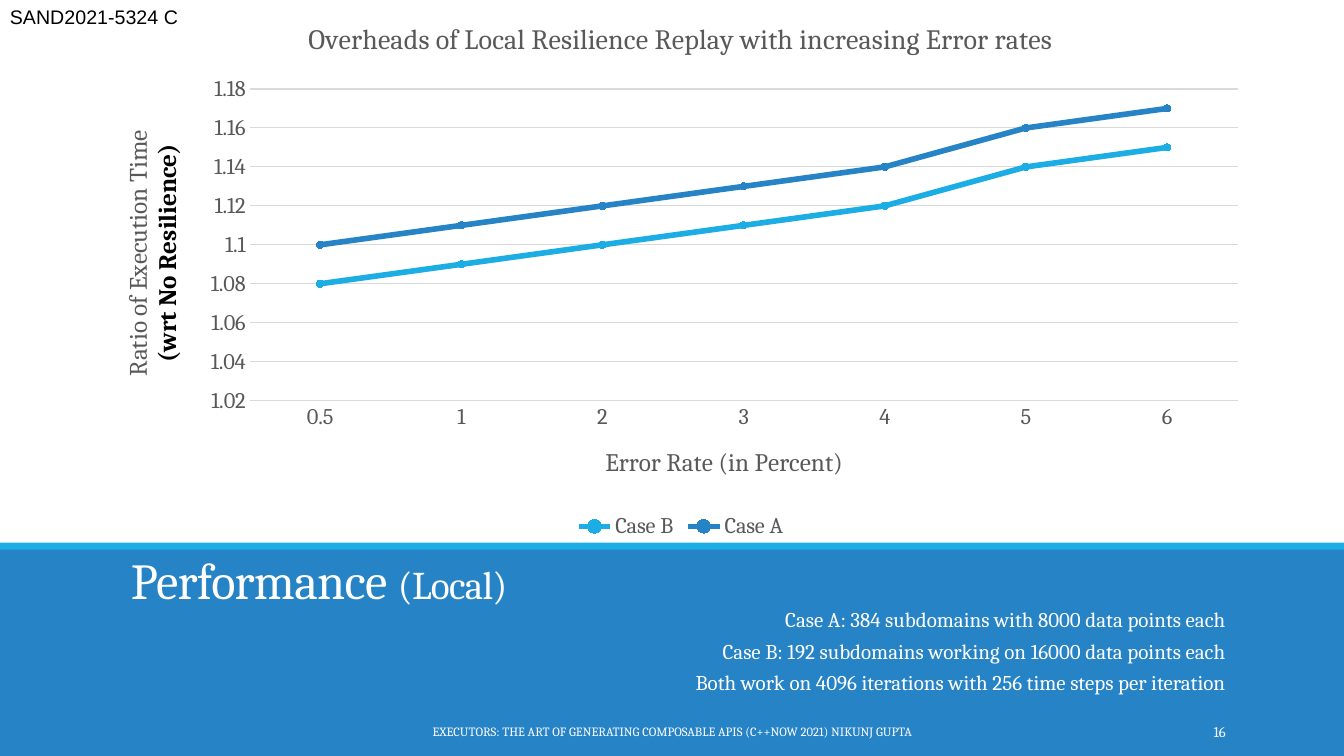
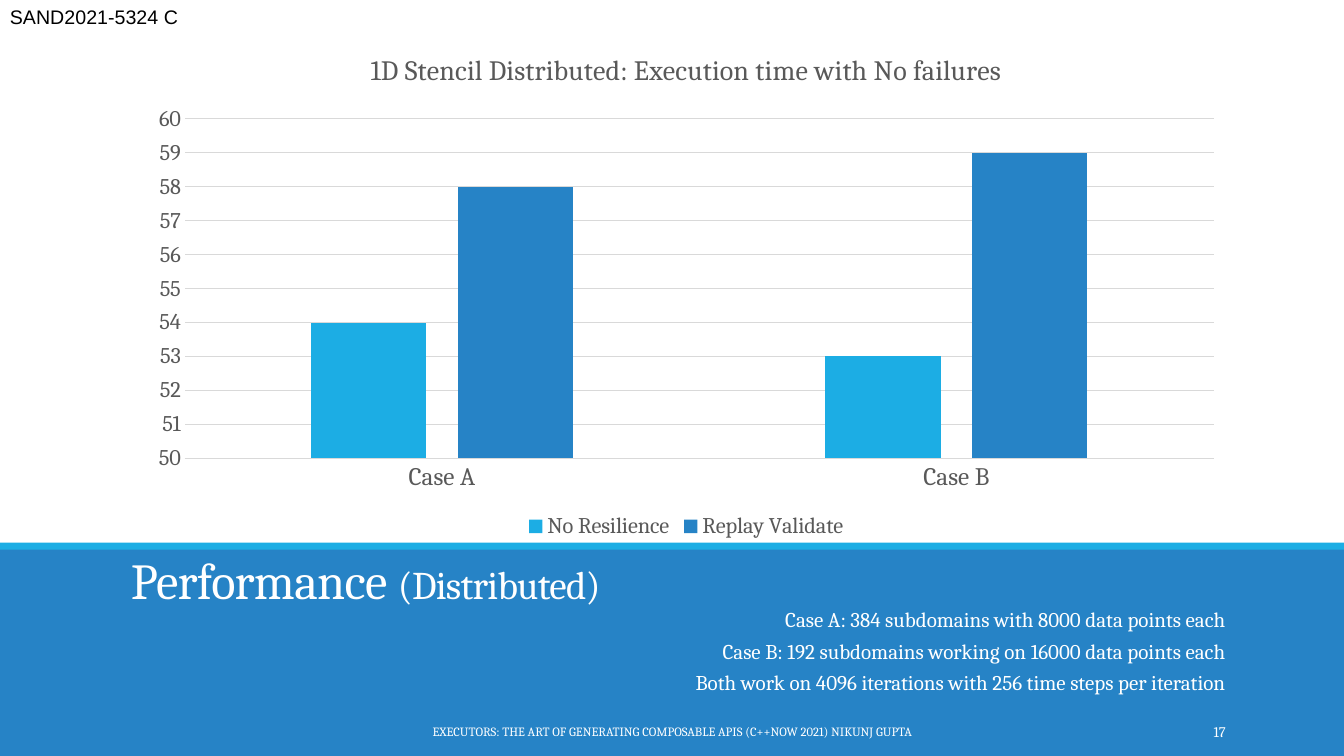
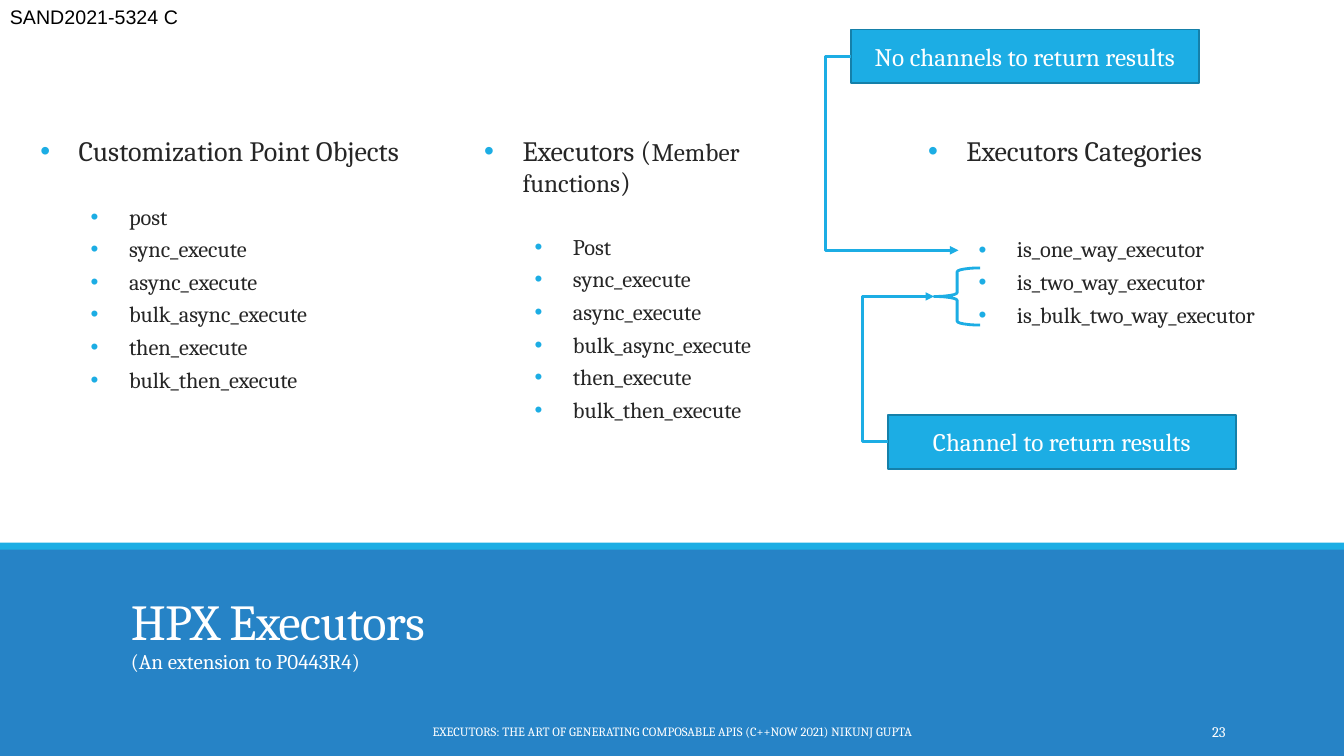
"""Build three slides on resilience overheads and HPX executors."""
from lxml import etree
from pptx import Presentation
from pptx.chart.data import CategoryChartData
from pptx.dml.color import RGBColor
from pptx.enum.chart import XL_CHART_TYPE, XL_LEGEND_POSITION, XL_MARKER_STYLE, XL_TICK_MARK
from pptx.enum.shapes import MSO_CONNECTOR, MSO_SHAPE
from pptx.enum.text import MSO_ANCHOR, PP_ALIGN
from pptx.oxml.ns import qn
from pptx.util import Inches, Pt

LEFT, CENTER, RIGHT = PP_ALIGN.LEFT, PP_ALIGN.CENTER, PP_ALIGN.RIGHT
TOP, MIDDLE, BOTTOM = MSO_ANCHOR.TOP, MSO_ANCHOR.MIDDLE, MSO_ANCHOR.BOTTOM
RECTANGLE, LEFT_BRACE = MSO_SHAPE.RECTANGLE, MSO_SHAPE.LEFT_BRACE
ELBOW = MSO_CONNECTOR.ELBOW
LINE_CHART, COLUMN_CHART = XL_CHART_TYPE.LINE_MARKERS, XL_CHART_TYPE.COLUMN_CLUSTERED
LEGEND_BOTTOM, NO_TICK, CIRCLE = XL_LEGEND_POSITION.BOTTOM, XL_TICK_MARK.NONE, XL_MARKER_STYLE.CIRCLE

HEX = {"band": "2683C6", "accent": "1CADE4", "outline": "1580A9", "white": "FFFFFF",
       "black": "000000", "text": "262626", "chart": "595959", "grid": "D9D9D9"}
COLORS = {name: RGBColor.from_string(value) for name, value in HEX.items()}
FONT = "Cambria"

presentation = Presentation()
presentation.slide_width, presentation.slide_height = Inches(13.33), Inches(7.5)
COLUMN, ROW = presentation.slide_width / 160, presentation.slide_height / 90
MARGIN, CONTENT_WIDTH, CONTENT_BOTTOM = 14.4, 132.7, 64.7


def grid(left, top, width, height):
    """Turn columns and rows into slide lengths."""
    return [round(left * COLUMN), round(top * ROW), round(width * COLUMN), round(height * ROW)]


def add_run(paragraph, text, size, color, font=FONT, bold=False):
    """Append one styled run to a paragraph."""
    run = paragraph.add_run()
    run.text = text
    run.font.size, run.font.name, run.font.bold = Pt(size), font, bold
    run.font.color.rgb = COLORS[color]
    return run


CASES = ["Case A: 384 subdomains with 8000 data points each",
         "Case B: 192 subdomains working on 16000 data points each",
         "Both work on 4096 iterations with 256 time steps per iteration"]
PAGES = [
    ([("Performance ", 36), ("(Local)", 28)], 72.6, CASES, RIGHT, "16"),
    ([("Performance ", 36), ("(Distributed)", 28)], 72.6, CASES, RIGHT, "17"),
    ([("HPX Executors", 36)], 77.5, ["(An extension to P0443R4)"], LEFT, "23"),
]
FOOTER = "EXECUTORS: THE ART OF GENERATING COMPOSABLE APIS (C++NOW 2021) NIKUNJ GUPTA"

slides = []
for title, title_bottom, body, body_align, number in PAGES:
    slide = presentation.slides.add_slide(presentation.slide_layouts[6])
    slides.append(slide)
    for top, height, color in [(65, 25, "band"), (64.6, 0.84, "accent")]:
        band = slide.shapes.add_shape(RECTANGLE, *grid(0, top, 160, height))
        band.shadow.inherit = False
        band.fill.solid()
        band.fill.fore_color.rgb = COLORS[color]
        band.line.fill.background()

    title_box = slide.shapes.add_textbox(*grid(MARGIN, title_bottom - 7.9, CONTENT_WIDTH, 7.9))
    body_box = slide.shapes.add_textbox(*grid(MARGIN, title_bottom, CONTENT_WIDTH, 10.8))
    for box, anchor in [(title_box, BOTTOM), (body_box, TOP)]:
        frame = box.text_frame
        frame.word_wrap, frame.vertical_anchor = True, anchor
        frame.margin_top = frame.margin_bottom = 0
    paragraph = title_box.text_frame.paragraphs[0]
    paragraph.line_spacing = 0.85
    for text, size in title:
        run = add_run(paragraph, text, size, "white")
        run.font._element.set("spc", "-50")
    for index, text in enumerate(body):
        frame = body_box.text_frame
        paragraph = frame.add_paragraph() if index else frame.paragraphs[0]
        paragraph.alignment, paragraph.line_spacing, paragraph.space_after = body_align, 0.9, Pt(6)
        add_run(paragraph, text, 15, "white")

    for text, area, size, align, color, font, anchor, wrap in [
        (FOOTER, (48.4, 84.7, 63.2, 4.8), 9, CENTER, "white", FONT, MIDDLE, True),
        (number, (130, 84.7, 17.1, 4.8), 10.5, RIGHT, "white", FONT, MIDDLE, True),
        ("SAND2021-5324 C", (0, 0, 22.7, 4), 14, LEFT, "black", "Arial", TOP, False),
    ]:
        frame = slide.shapes.add_textbox(*grid(*area)).text_frame
        frame.word_wrap, frame.vertical_anchor = wrap, anchor
        frame.paragraphs[0].alignment = align
        add_run(frame.paragraphs[0], text, size, color, font)

local_slide, distributed_slide, executors_slide = slides

CHARTS = [
    (local_slide, LINE_CHART, (12, 0, 138.1, CONTENT_BOTTOM),
     "Overheads of Local Resilience Replay with increasing Error rates",
     ["0.5", "1", "2", "3", "4", "5", "6"],
     [("Case B", [1.08, 1.09, 1.1, 1.11, 1.12, 1.14, 1.15]),
      ("Case A", [1.1, 1.11, 1.12, 1.13, 1.14, 1.16, 1.17])],
     (1.02, 1.18, 0.02), 16),
    (distributed_slide, COLUMN_CHART, (16.3, 3.7, 130.8, CONTENT_BOTTOM - 3.7),
     "1D Stencil Distributed: Execution time with No failures",
     ["Case A", "Case B"],
     [("No Resilience", [54, 53]), ("Replay Validate", [58, 59])],
     (50, 60, 1), 18),
]
for slide, kind, area, title, categories, series_values, scale, category_size in CHARTS:
    data = CategoryChartData()
    data.categories = categories
    for name, values in series_values:
        data.add_series(name, values)
    chart = slide.shapes.add_chart(kind, *grid(*area), data).chart
    chart.font.name, chart.font.size = FONT, Pt(10)
    add_run(chart.chart_title.text_frame.paragraphs[0], title, 20, "chart")
    chart.chart_title.include_in_layout = False
    chart.has_legend = True
    chart.legend.position, chart.legend.include_in_layout = LEGEND_BOTTOM, False

    category_axis, value_axis = chart.category_axis, chart.value_axis
    value_axis.minimum_scale, value_axis.maximum_scale, value_axis.major_unit = scale
    for axis in (category_axis, value_axis):
        axis.major_tick_mark = axis.minor_tick_mark = NO_TICK
    fonts = [(category_axis.tick_labels.font, category_size),
             (value_axis.tick_labels.font, 16), (chart.legend.font, 16)]
    for font, size in fonts:
        font.name, font.size, font.color.rgb = FONT, Pt(size), COLORS["chart"]
    value_axis.format.line.fill.background()
    for line in (category_axis.format.line, value_axis.major_gridlines.format.line):
        line.color.rgb, line.width = COLORS["grid"], Pt(0.75)

    plot = chart.plots[0]
    plot.vary_by_categories = False
    for series, color in zip(plot.series, ("accent", "band")):
        if kind == LINE_CHART:
            series.smooth = False
            series.format.line.color.rgb, series.format.line.width = COLORS[color], Pt(4)
            series.marker.style, series.marker.size = CIRCLE, 5
            fills = [series.marker.format.fill]
            series.marker.format.line.color.rgb = COLORS[color]
        else:
            fills = [series.format.fill]
        for fill in fills:
            fill.solid()
            fill.fore_color.rgb = COLORS[color]
    if kind == LINE_CHART:
        add_run(category_axis.axis_title.text_frame.paragraphs[0],
                "Error Rate (in Percent)", 18, "chart")
        frame = value_axis.axis_title.text_frame
        add_run(frame.paragraphs[0], "Ratio of Execution Time", 18, "chart")
        add_run(frame.add_paragraph(), "(wrt No Resilience)", 18, "black", bold=True)
    else:
        plot.gap_width, plot.overlap = 219, -27

SHARED_FUNCTIONS = ["sync_execute", "async_execute", "bulk_async_execute",
                    "then_execute", "bulk_then_execute"]
LISTS = [
    ([("Customization Point Objects", 20)], ["post"] + SHARED_FUNCTIONS, 25),
    ([("Executors (", 20), ("Member functions", 18), (")", 20)], ["Post"] + SHARED_FUNCTIONS, 25),
    ([("Executors Categories", 20)],
     ["is_one_way_executor", "is_two_way_executor", "is_bulk_two_way_executor"], 48.5),
]
for position, (heading, items, list_gap) in enumerate(LISTS):
    area = grid(4.8 + 52.85 * position, 16.4, 43.6, 38.9)
    frame = executors_slide.shapes.add_textbox(*area).text_frame
    frame.word_wrap = True
    frame.margin_left = frame.margin_right = frame.margin_top = frame.margin_bottom = 0
    for index, runs in enumerate([heading] + [[(item, 16)] for item in items]):
        paragraph = frame.add_paragraph() if index else frame.paragraphs[0]
        paragraph.level = 1 if index else 0
        properties = paragraph._p.get_or_add_pPr()
        properties.set("marL", str(Inches(0.88 if index else 0.38)))
        properties.set("indent", str(-Inches(0.38)))
        bullet_color = etree.SubElement(properties, qn("a:buClr"))
        etree.SubElement(bullet_color, qn("a:srgbClr")).set("val", HEX["accent"])
        etree.SubElement(properties, qn("a:buFont")).set("typeface", "Arial")
        etree.SubElement(properties, qn("a:buChar")).set("char", "•")
        paragraph.line_spacing = 0.9
        paragraph.space_before = Pt((0, list_gap)[index] if index < 2 else 2)
        paragraph.space_after = Pt(4 if index else 2)
        for text, size in runs:
            add_run(paragraph, text, size, "text")

brace = executors_slide.shapes.add_shape(LEFT_BRACE, *grid(111.2, 31.9, 5.5, 6.8))
brace.shadow.inherit = False
brace.fill.background()
brace.line.color.rgb, brace.line.width = COLORS["accent"], Pt(2)

CALLOUTS = [
    ("No channels to return results", 101.3, 3.5, 114.1, 29.8, None),
    ("Channel to return results", 105.7, 49.4, 111.2, 35.3, brace),
]
CALLOUT_WIDTH, CALLOUT_HEIGHT, ELBOW_REACH = 41.4, 6.4, 3
for text, left, top, end_x, end_y, target in CALLOUTS:
    callout = executors_slide.shapes.add_shape(
        RECTANGLE, *grid(left, top, CALLOUT_WIDTH, CALLOUT_HEIGHT))
    callout.shadow.inherit = False
    callout.fill.solid()
    callout.fill.fore_color.rgb = COLORS["accent"]
    callout.line.color.rgb, callout.line.width = COLORS["outline"], Pt(1.25)
    callout.text_frame.vertical_anchor = MIDDLE
    callout.text_frame.paragraphs[0].alignment = CENTER
    add_run(callout.text_frame.paragraphs[0], text, 18, "white")

    ends = grid(left, top + CALLOUT_HEIGHT / 2, end_x, end_y)
    arrow = executors_slide.shapes.add_connector(ELBOW, *ends)
    arrow.begin_connect(callout, 1)
    if target:
        arrow.end_connect(target, 1)
    arrow.line.color.rgb, arrow.line.width = COLORS["accent"], Pt(2)
    etree.SubElement(arrow.line._get_or_add_ln(), qn("a:tailEnd")).set("type", "triangle")
    properties = arrow._element.spPr
    etree.SubElement(properties, qn("a:effectLst"))
    guides = properties.find(qn("a:prstGeom")).get_or_add_avLst()
    guide = etree.SubElement(guides, qn("a:gd"))
    guide.set("name", "adj1")
    guide.set("fmla", f"val {round(-100000 * ELBOW_REACH / (end_x - left))}")

presentation.save("out.pptx")
